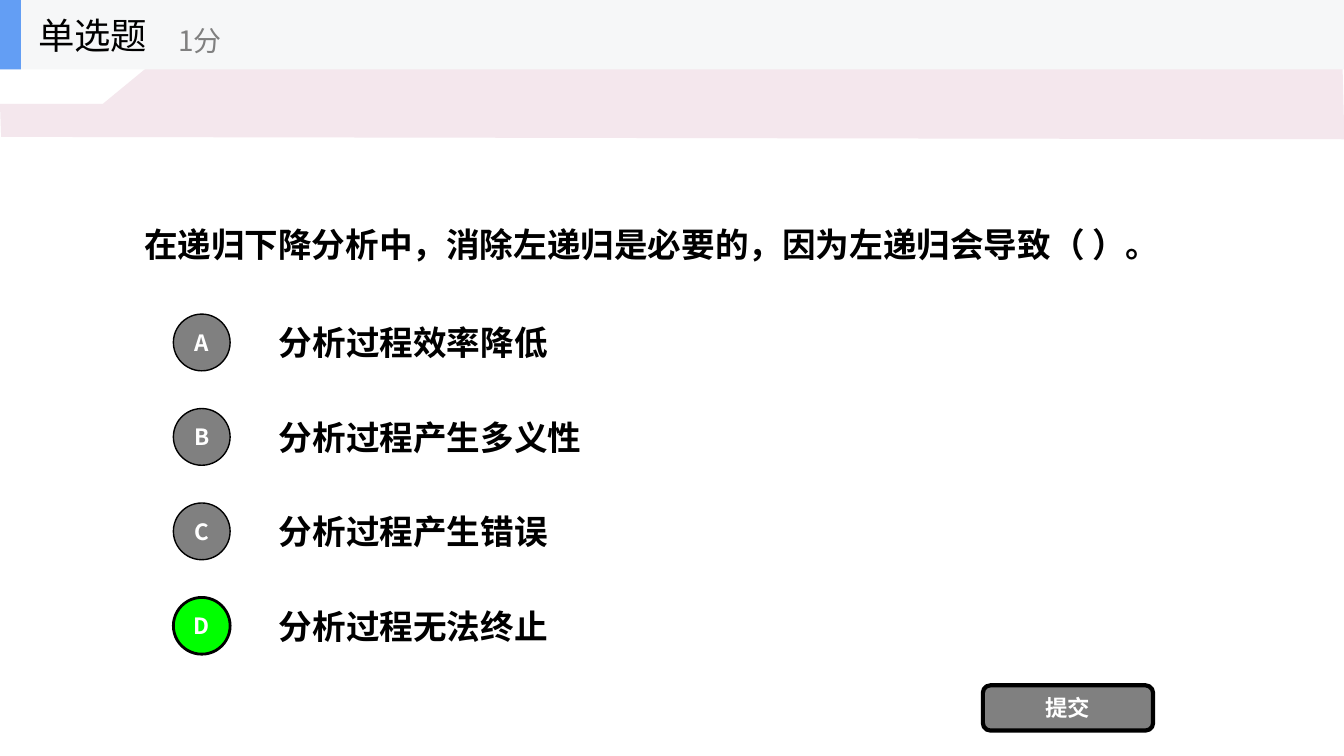
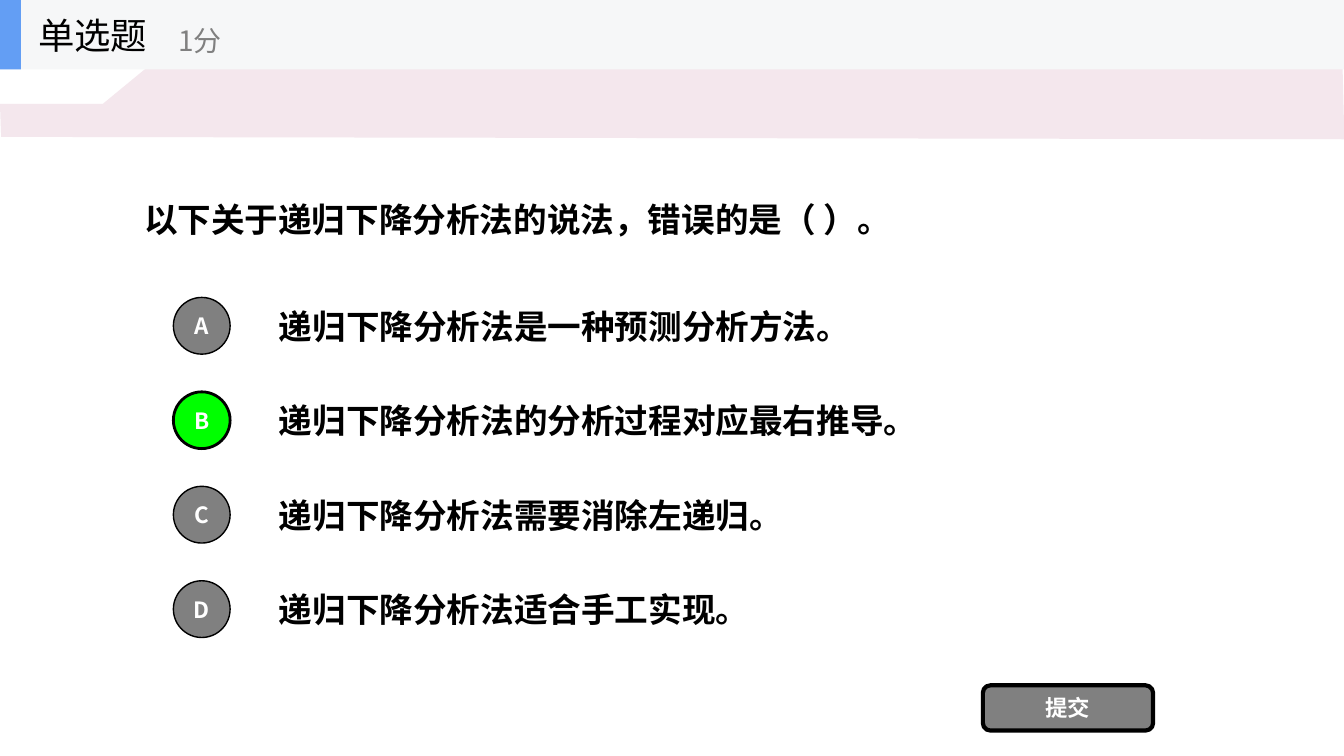
from lxml import etree
from pptx import Presentation
from pptx.dml.color import RGBColor
from pptx.enum.shapes import MSO_SHAPE
from pptx.enum.text import MSO_ANCHOR, PP_ALIGN
from pptx.oxml.ns import qn
from pptx.util import Cm, Pt

RECTANGLE = MSO_SHAPE.RECTANGLE
ROUNDED = MSO_SHAPE.ROUNDED_RECTANGLE
OVAL = MSO_SHAPE.OVAL
MIDDLE = MSO_ANCHOR.MIDDLE
LEFT = PP_ALIGN.LEFT
CENTER = PP_ALIGN.CENTER

FONT = "Noto Sans CJK SC"
BLACK = "000000"
WHITE = "FFFFFF"
GRAY = "808080"
GREEN = "00FF00"
BLUE = "639EF4"
PALE_GRAY = "F6F7F8"
PINK = "F4E7ED"

PAGE_WIDTH, PAGE_HEIGHT = 33.87, 19.05
HEADER_HEIGHT = 1.75
OPTION_PITCH = 2.38
OPTION_HEIGHT = 1.78
CIRCLE = 1.43
BAND = [(0, 2.62), (2.59, 2.62), (4.57, 0.99), (12.7, 0.99),
        (13.31, 1.52), (33.83, 1.5), (33.88, 3.51), (0.03, 3.45)]

QUESTIONS = [
    {
        "question": "在递归下降分析中，消除左递归是必要的，因为左递归会导致（ ）。",
        "top": 4.06, "height": 3.66, "spacing": 1.5,
        "options": ["分析过程效率降低", "分析过程产生多义性",
                    "分析过程产生错误", "分析过程无法终止"],
        "options_top": 7.74, "answer": "D",
    },
    {
        "question": "以下关于递归下降分析法的说法，错误的是（ ）。",
        "top": 3.3, "height": 4.42, "spacing": 1,
        "options": ["递归下降分析法是一种预测分析方法。",
                    "递归下降分析法的分析过程对应最右推导。",
                    "递归下降分析法需要消除左递归。",
                    "递归下降分析法适合手工实现。"],
        "options_top": 7.32, "answer": "B",
    },
]


def color(value):
    return RGBColor.from_string(value)


def write(frame, text, size=24, ink=BLACK, bold=True, align=LEFT, spacing=1):
    frame.word_wrap = True
    frame.vertical_anchor = MIDDLE
    para = frame.paragraphs[0]
    para.alignment = align
    para.line_spacing = spacing
    span = para.add_run()
    span.text = text
    span.font.size = Pt(size)
    span.font.bold = bold
    span.font.color.rgb = color(ink)
    span.font.name = FONT
    east_asian = etree.SubElement(span.font._element, qn("a:ea"))
    east_asian.set("typeface", FONT)


class Quiz:
    def __init__(self):
        self.deck = Presentation()
        self.deck.slide_width = Cm(PAGE_WIDTH)
        self.deck.slide_height = Cm(PAGE_HEIGHT)
        self.page = None

    def add_page(self):
        self.page = self.deck.slides.add_slide(self.deck.slide_layouts[6])

    def paint(self, shape, fill, line_width=0):
        shape.shadow.inherit = False
        shape.fill.solid()
        shape.fill.fore_color.rgb = color(fill)
        if line_width:
            shape.line.color.rgb = color(BLACK)
            shape.line.width = Pt(line_width)
        else:
            shape.line.fill.background()

    def shape(self, kind, left, top, width, height, fill, line_width=0):
        shape = self.page.shapes.add_shape(
            kind, Cm(left), Cm(top), Cm(width), Cm(height))
        self.paint(shape, fill, line_width)
        return shape

    def button(self, kind, left, top, width, height, text, fill, line_width):
        frame = self.shape(
            kind, left, top, width, height, fill, line_width).text_frame
        frame.margin_left = frame.margin_right = 0
        frame.margin_top = frame.margin_bottom = 0
        write(frame, text, size=16, ink=WHITE, align=CENTER)

    def text(self, left, top, width, height, text, **style):
        box = self.page.shapes.add_textbox(
            Cm(left), Cm(top), Cm(width), Cm(height))
        write(box.text_frame, text, **style)

    def band(self):
        points = [(Cm(x), Cm(y)) for x, y in BAND]
        builder = self.page.shapes.build_freeform(*points[0])
        builder.add_line_segments(points[1:])
        self.paint(builder.convert_to_shape(), PINK)

    def header(self):
        self.shape(RECTANGLE, 0, 0, PAGE_WIDTH, HEADER_HEIGHT, PALE_GRAY)
        self.shape(RECTANGLE, 0, 0, 0.53, HEADER_HEIGHT, BLUE)
        self.text(0.71, 0, 5.28, HEADER_HEIGHT, "单选题", size=26, bold=False)
        self.text(4.24, 0.3, 6.35, 1.42, "1分", size=20, ink=GRAY, bold=False)

    def options(self, top, texts, answer):
        for index, (letter, text) in enumerate(zip("ABCD", texts)):
            row = top + index * OPTION_PITCH
            correct = letter == answer
            self.text(6.78, row, 23.7, OPTION_HEIGHT, text)
            self.button(OVAL, 4.37, row + (OPTION_HEIGHT - CIRCLE) / 2,
                        CIRCLE, CIRCLE, letter,
                        fill=GREEN if correct else GRAY,
                        line_width=2 if correct else 1)

    def question(self, item):
        self.add_page()
        self.band()
        self.text(3.38, item["top"], 27.1, item["height"], item["question"],
                  spacing=item["spacing"])
        self.options(item["options_top"], item["options"], item["answer"])
        self.button(ROUNDED, 24.77, 17.27, 4.29, 1.14, "提交", GRAY, 3)
        self.header()


def main():
    quiz = Quiz()
    for item in QUESTIONS:
        quiz.question(item)
    quiz.deck.save("out.pptx")


if __name__ == "__main__":
    main()
